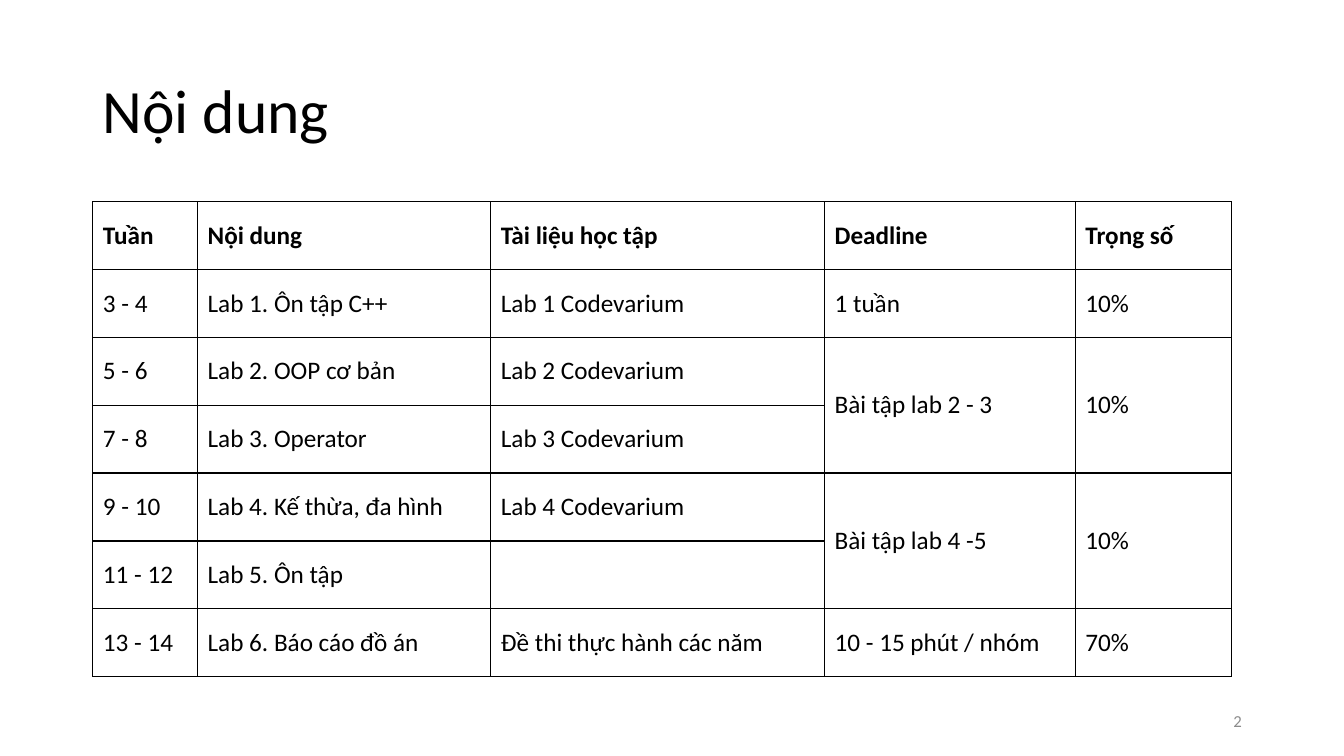
from dataclasses import dataclass

from lxml import etree
from pptx import Presentation
from pptx.dml.color import RGBColor
from pptx.enum.text import MSO_ANCHOR, PP_ALIGN
from pptx.oxml.ns import qn
from pptx.slide import Slide
from pptx.table import _Cell
from pptx.text.text import TextFrame
from pptx.util import Cm, Pt

BLACK = RGBColor(0x00, 0x00, 0x00)
WHITE = RGBColor(0xFF, 0xFF, 0xFF)
GRAY = RGBColor(0x8C, 0x8C, 0x8C)
MIDDLE = MSO_ANCHOR.MIDDLE
LEFT, RIGHT = PP_ALIGN.LEFT, PP_ALIGN.RIGHT
FONT = "Calibri"

MARGIN = 2.34
ROW_HEIGHT = 1.71
COLUMN_WIDTHS = (2.64, 7.39, 8.41, 6.32, 3.94)

# None continues the cell above
SCHEDULE = (
    ("Tuần", "Nội dung", "Tài liệu học tập", "Deadline", "Trọng số"),
    ("3 - 4", "Lab 1. Ôn tập C++", "Lab 1 Codevarium", "1 tuần", "10%"),
    ("5 - 6", "Lab 2. OOP cơ bản", "Lab 2 Codevarium", "Bài tập lab 2 - 3", "10%"),
    ("7 - 8", "Lab 3. Operator", "Lab 3 Codevarium", None, None),
    ("9 - 10", "Lab 4. Kế thừa, đa hình", "Lab 4 Codevarium", "Bài tập lab 4 -5", "10%"),
    ("11 - 12", "Lab 5. Ôn tập", "", None, None),
    ("13 - 14", "Lab 6. Báo cáo đồ án", "Đề thi thực hành các năm", "10 - 15 phút / nhóm", "70%"),
)


@dataclass(frozen=True)
class Label:
    text: str
    left: float
    top: float
    width: float
    height: float
    size: int
    color: RGBColor = BLACK
    align: PP_ALIGN = LEFT
    line_spacing: float = 1.0


LABELS = (
    Label("Nội dung", MARGIN, 1.02, 29.21, 3.68, 44, line_spacing=0.9),
    Label("2", 23.93, 17.65, 7.62, 1.02, 12, color=GRAY, align=RIGHT),
)


def write_text(tf: TextFrame, text: str, *, size: int, color: RGBColor = BLACK,
               bold: bool = False, align: PP_ALIGN = LEFT,
               line_spacing: float = 1.0) -> None:
    p = tf.paragraphs[0]
    p.alignment = align
    p.line_spacing = line_spacing
    r = p.add_run()
    r.text = text
    r.font.name = FONT
    r.font.size = Pt(size)
    r.font.bold = bold
    r.font.color.rgb = color


def add_label(s: Slide, label: Label) -> None:
    box = s.shapes.add_textbox(Cm(label.left), Cm(label.top),
                               Cm(label.width), Cm(label.height))
    tf = box.text_frame
    tf.word_wrap = True
    tf.vertical_anchor = MIDDLE
    write_text(tf, label.text, size=label.size, color=label.color,
               align=label.align, line_spacing=label.line_spacing)


def format_cell(cell: _Cell) -> None:
    cell.vertical_anchor = MIDDLE
    tc_pr = cell._tc.get_or_add_tcPr()
    for side in ("a:lnL", "a:lnR", "a:lnT", "a:lnB"):
        ln = etree.SubElement(tc_pr, qn(side), w=str(Pt(1)))
        fill = etree.SubElement(ln, qn("a:solidFill"))
        etree.SubElement(fill, qn("a:srgbClr"), val=str(BLACK))
    cell.fill.solid()
    cell.fill.fore_color.rgb = WHITE


def add_schedule(s: Slide) -> None:
    frame = s.shapes.add_table(len(SCHEDULE), len(COLUMN_WIDTHS), Cm(MARGIN), Cm(5.08),
                               Cm(sum(COLUMN_WIDTHS)), Cm(ROW_HEIGHT * len(SCHEDULE)))
    table = frame.table
    table.first_row = False
    table.horz_banding = False
    for column, width in zip(table.columns, COLUMN_WIDTHS):
        column.width = Cm(width)
    for i, row in enumerate(SCHEDULE):
        table.rows[i].height = Cm(ROW_HEIGHT)
        for j, text in enumerate(row):
            cell = table.cell(i, j)
            format_cell(cell)
            if text is None:
                table.cell(i - 1, j).merge(cell)
            elif text:
                write_text(cell.text_frame, text, size=18, bold=i == 0)


def main() -> None:
    prs = Presentation()
    prs.slide_width, prs.slide_height = Cm(33.87), Cm(19.05)
    s = prs.slides.add_slide(prs.slide_layouts[6])

    # Title and slide number
    for label in LABELS:
        add_label(s, label)

    # Lab schedule
    add_schedule(s)

    prs.save("out.pptx")


if __name__ == "__main__":
    main()
